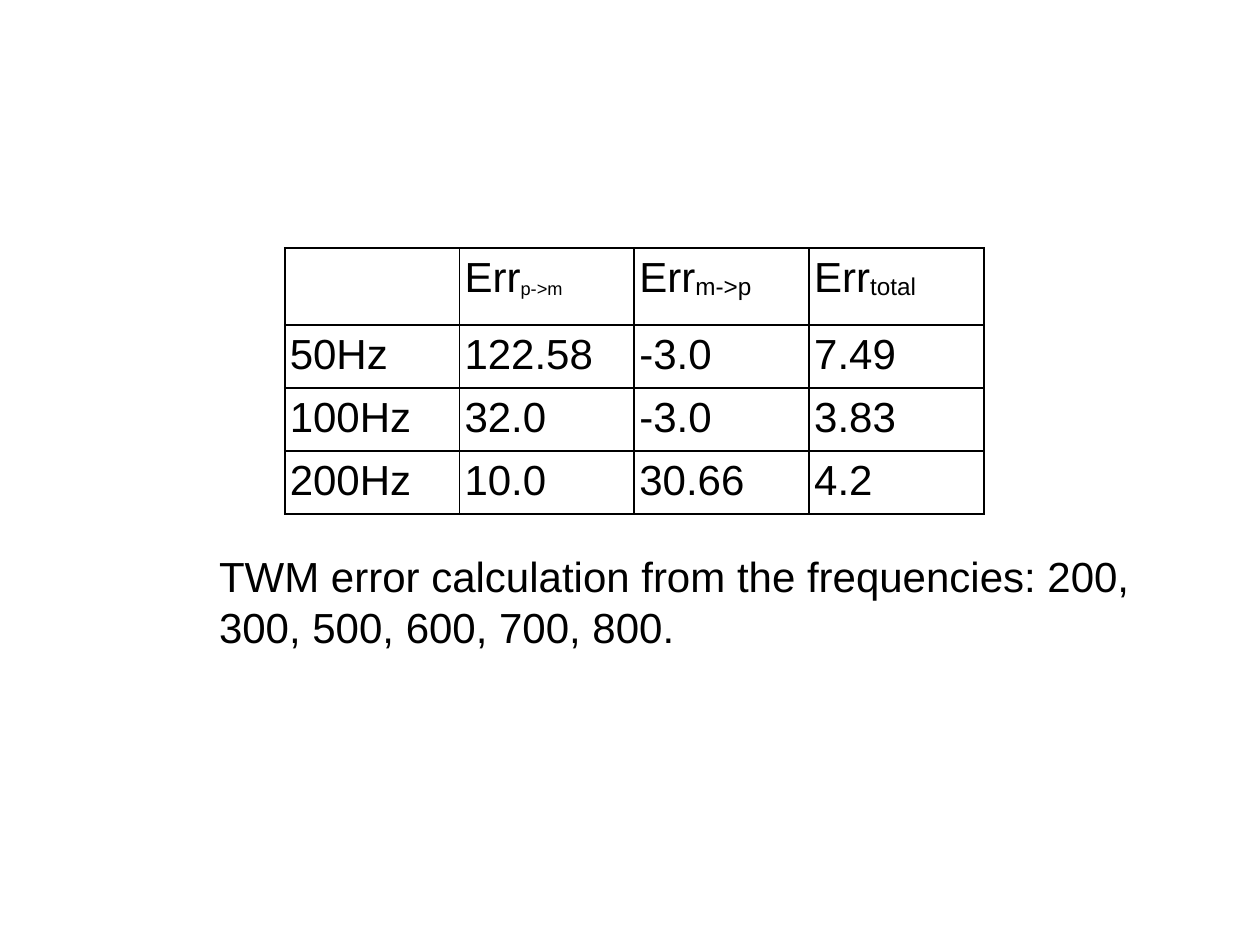
from pptx import Presentation
from pptx.dml.color import RGBColor as Rgb
from pptx.enum.text import MSO_AUTO_SIZE as Fit
from pptx.oxml import parse_xml as to_xml
from pptx.oxml.ns import nsdecls
from pptx.util import Inches, Pt

HEX = {"ink": "000000"}
EDGE = (
    '<a:{side} {ns} w="{width}"><a:solidFill><a:srgbClr val="{ink}"/>'
    "</a:solidFill></a:{side}>"
)
HEAD = [
    [],
    [("Err", 24, 0), ("p->m", 18, -8)],
    [("Err", 24, 0), ("m->p", 24, -8)],
    [("Err", 24, 0), ("total", 24, -8)],
]
DATA = [
    ("50Hz", "122.58", "-3.0", "7.49"),
    ("100Hz", "32.0", "-3.0", "3.83"),
    ("200Hz", "10.0", "30.66", "4.2"),
]


class Deck:
    """Holds the text style and the current slide."""

    def __init__(self, wide, high):
        self.show = Presentation()
        self.show.slide_width = Inches(wide)
        self.show.slide_height = Inches(high)
        self.slide = self.show.slides.add_slide(self.show.slide_layouts[6])
        self.face = "Arial"
        self.ink = HEX["ink"]

    def pad(self, item, sides):
        for side, gap in sides.items():
            setattr(item, f"margin_{side}", Inches(gap))

    def fill(self, para, runs):
        for text, size, base in runs:
            run = para.add_run()
            run.text = text
            for key, value in {"name": self.face, "size": Pt(size)}.items():
                setattr(run.font, key, value)
            run.font.color.rgb = Rgb.from_string(self.ink)
            if base:
                run._r.get_or_add_rPr().set("baseline", str(base * 1000))

    def text(self, box, words, size):
        frame = self.slide.shapes.add_textbox(*map(Inches, box)).text_frame
        for key, value in {"word_wrap": True, "auto_size": Fit.SHAPE_TO_FIT_TEXT}.items():
            setattr(frame, key, value)
        self.pad(frame, {"left": 0.1, "top": 0.07, "right": 0.1, "bottom": 0.05})
        self.fill(frame.paragraphs[0], [(words, size, 0)])

    def cell(self, cell, runs):
        self.pad(cell, {"left": 0.04, "top": 0.05, "right": 0.04, "bottom": 0.05})
        props = cell._tc.get_or_add_tcPr()
        for side in ("lnL", "lnR", "lnT", "lnB"):
            props.append(to_xml(EDGE.format(
                side=side, ns=nsdecls("a"), width=Pt(1.13), ink=self.ink)))
        cell.fill.background()
        self.fill(cell.text_frame.paragraphs[0], runs)

    def table(self, box, rows, highs):
        count = len(rows[0])
        table = self.slide.shapes.add_table(
            len(rows), count, *map(Inches, box)).table
        for key in ("first_row", "horz_banding"):
            setattr(table, key, False)
        for col in table.columns:
            col.width = Inches(box[2] / count)
        for i, (row, high) in enumerate(zip(rows, highs)):
            table.rows[i].height = Inches(high)
            for j, runs in enumerate(row):
                self.cell(table.cell(i, j), runs)


def main():
    deck = Deck(10, 7.5)
    deck.text(
        (1.64, 4.3, 7.51, 0.92),
        "TWM error calculation from the frequencies: 200, 300, 500, 600, 700, 800.",
        24,
    )
    body = [[[(word, 24, 0)] for word in row] for row in DATA]
    deck.table((2.26, 1.97, 5.55, 2.12), [HEAD, *body], [0.61, 0.5, 0.5, 0.5])
    deck.show.save("out.pptx")


if __name__ == "__main__":
    main()
